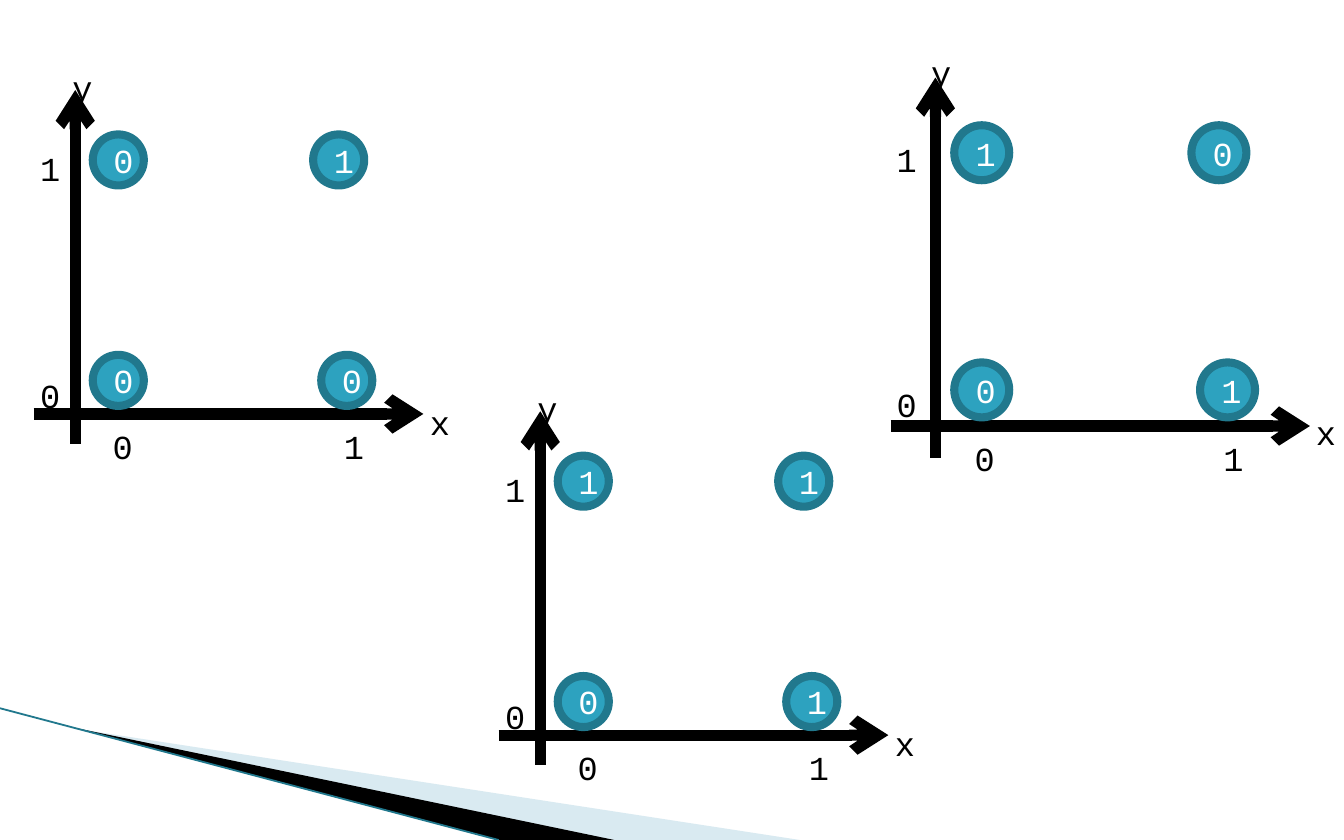
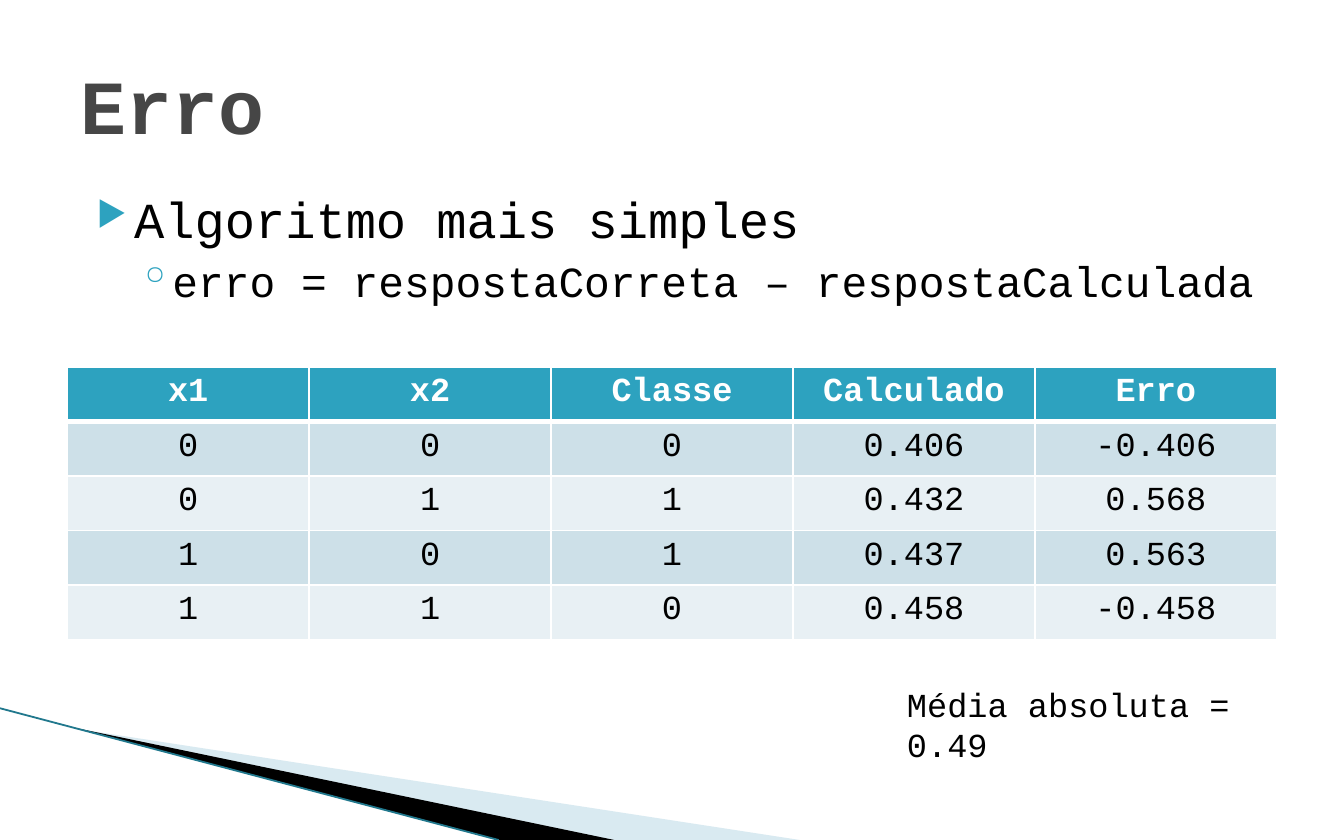
import pptx
import pptx.dml.color
import pptx.enum.shapes
import pptx.enum.text
import pptx.oxml
import pptx.oxml.ns
import pptx.util
from lxml import etree

WIDTH, HEIGHT = 10, 6.25
MARGIN = WIDTH * 0.05
FONT = "Courier New"
COLOURS = {
    "white": "FFFFFF",
    "black": "000000",
    "title": "464646",
    "accent": "2DA2BF",
    "edge": "21788D",
    "band": "A0CBDC",
    "odd_row": "CDE0E8",
    "even_row": "E8F0F4",
}

# Each plot: origin of the axes, scale, classes for (0,1), (0,0), (1,0), (1,1)
PLOTS = [
    ((0.56, 3.08), 1, "0001"),
    ((6.96, 3.17), 1.076, "1010"),
    ((4.02, 5.47), 1, "1011"),
]
AXES = [((-0.31, 0), (2.59, 0)), ((0, 0.22), (0, -2.41))]
POINTS = [(0.32, -1.89), (0.32, -0.25), (2.02, -0.25), (1.96, -1.89)]
POINT_SIZE = 0.38
LABELS = [
    ("1", -0.36, -2.03),
    ("1", 1.9, 0.04),
    ("0", -0.36, -0.34),
    ("0", 0.18, 0.04),
    ("x", 2.54, -0.14),
    ("y", -0.12, -2.63),
]
ERROR_ROWS = [
    ("x1", "x2", "Classe", "Calculado", "Erro"),
    ("0", "0", "0", "0.406", "-0.406"),
    ("0", "1", "1", "0.432", "0.568"),
    ("1", "0", "1", "0.437", "0.563"),
    ("1", "1", "0", "0.458", "-0.458"),
]


def inches(*lengths):
    """Convert lengths to EMU."""
    return [pptx.util.Inches(length) for length in lengths]


def rgb(name):
    """Look up a named colour."""
    return pptx.dml.color.RGBColor.from_string(COLOURS[name])


def add_xml(parent, tag, **attributes):
    """Append a DrawingML element to a parent."""
    return etree.SubElement(parent, pptx.oxml.ns.qn(tag), attributes)


def write(para, text, size=18, colour="black", bold=False, centred=False):
    """Add one formatted run to a paragraph."""
    span = para.add_run()
    span.text = text
    span.font.name = FONT
    span.font.size = pptx.util.Pt(size)
    span.font.bold = bold
    span.font.color.rgb = rgb(colour)
    align = pptx.enum.text.PP_ALIGN
    para.alignment = align.CENTER if centred else align.LEFT


def add_line(shapes, start, end, colour, width, arrow=False):
    """Draw a straight line, with an arrowhead if wanted."""
    line = shapes.add_connector(
        pptx.enum.shapes.MSO_CONNECTOR.STRAIGHT, *inches(*start, *end))
    line.line.color.rgb = rgb(colour)
    line.line.width = pptx.util.Pt(width)
    add_xml(line._element.spPr, "a:effectLst")
    if arrow:
        add_xml(line.line._get_or_add_ln(), "a:tailEnd", type="arrow")
    return line


def add_wedge(shapes, corners, colour, opacity=100):
    """Draw a filled polygon without an outline."""
    builder = shapes.build_freeform(
        *inches(*corners[0]), scale=1)
    builder.add_line_segments([inches(*corner) for corner in corners[1:]])
    wedge = builder.convert_to_shape()
    wedge.shadow.inherit = False
    wedge.fill.solid()
    wedge.fill.fore_color.rgb = rgb(colour)
    wedge.line.fill.background()
    if opacity < 100:
        tint = wedge._element.spPr.find(".//" + pptx.oxml.ns.qn("a:srgbClr"))
        add_xml(tint, "a:alpha", val=str(opacity * 1000))
    return wedge


def decorate_master(deck, page):
    """Draw the corner bands and move them to the slide master."""
    bands = [
        add_wedge(page.shapes, [(0.55, 5.42), (5.95, HEIGHT), (4.56, HEIGHT)], "band", 40),
        add_wedge(page.shapes, [(0.53, 5.41), (4.57, HEIGHT), (3.72, HEIGHT)], "black"),
        add_line(page.shapes, (0, 5.27), (3.71, HEIGHT), "edge", 0.95),
    ]
    for band in bands:
        deck.slide_master.shapes._spTree.append(band._element)


def add_text(shapes, text, left, top, width, wrap):
    """Add a one-paragraph text box."""
    box = shapes.add_textbox(*inches(left, top, width, 0.4))
    box.text_frame.word_wrap = wrap
    write(box.text_frame.paragraphs[0], text)


def add_point(shapes, text, centre, size):
    """Draw a class value in a circle."""
    left, top = (middle - size / 2 for middle in centre)
    point = shapes.add_shape(
        pptx.enum.shapes.MSO_SHAPE.OVAL, *inches(left, top, size, size))
    point.shadow.inherit = False
    point.fill.solid()
    point.fill.fore_color.rgb = rgb("accent")
    point.line.color.rgb = rgb("edge")
    point.line.width = pptx.util.Pt(4.33)
    point.text_frame.vertical_anchor = pptx.enum.text.MSO_ANCHOR.MIDDLE
    write(point.text_frame.paragraphs[0], text, colour="white", centred=True)


def add_plot(page, origin, scale, classes):
    """Draw axes, four class points and labels as one group."""
    shapes = page.shapes.add_group_shape().shapes

    def place(x, y):
        """Turn plot coordinates into slide coordinates."""
        return origin[0] + x * scale, origin[1] + y * scale

    for start, end in AXES:
        add_line(shapes, place(*start), place(*end), "black", 6, arrow=True)
    for value, point in zip(classes, POINTS):
        add_point(shapes, value, place(*point), POINT_SIZE * scale)
    for text, x, y in LABELS:
        add_text(shapes, text, *place(x, y), 0.36, wrap=False)


def set_title(page, text):
    """Place and format the title placeholder."""
    title = page.shapes.title
    title.left, title.top, title.width, title.height = inches(
        MARGIN, 0.25, WIDTH - 2 * MARGIN, 1.04)
    frame = title.text_frame
    frame.auto_size = pptx.enum.text.MSO_AUTO_SIZE.NONE
    frame.vertical_anchor = pptx.enum.text.MSO_ANCHOR.MIDDLE
    write(frame.paragraphs[0], text, 41, "title", bold=True)


def add_bullet(para, text, size, symbol, symbol_size, margin, hanging, before):
    """Write a paragraph with a coloured bullet."""
    write(para, text, size)
    para.space_before = pptx.util.Pt(before)
    props = para._p.get_or_add_pPr()
    props.set("marL", str(pptx.util.Inches(margin)))
    props.set("indent", str(-pptx.util.Inches(hanging)))
    tint = add_xml(props, "a:buClr")
    add_xml(tint, "a:srgbClr", val=COLOURS["accent"])
    add_xml(props, "a:buSzPct", val=str(symbol_size * 1000))
    add_xml(props, "a:buChar", char=symbol)


def add_body(page):
    """Add the two bulleted lines."""
    box = page.shapes.add_textbox(*inches(MARGIN, 1.35, WIDTH - 2 * MARGIN, 1.2))
    frame = box.text_frame
    frame.word_wrap = True
    add_bullet(frame.paragraphs[0], "Algoritmo mais simples",
               27, "▶", 68, 0.4, 0.28, 4)
    add_bullet(frame.add_paragraph(), "erro = respostaCorreta – respostaCalculada",
               23, "◦", 100, 0.68, 0.25, 3.2)


def set_borders(cell, bottom):
    """Give a cell white borders, with its own bottom width."""
    props = cell._tc.get_or_add_tcPr()
    for side, width in (("L", 1), ("R", 1), ("T", 1), ("B", bottom)):
        edge = add_xml(props, "a:ln" + side, w=str(pptx.util.Pt(width)))
        fill = add_xml(edge, "a:solidFill")
        add_xml(fill, "a:srgbClr", val=COLOURS["white"])


def add_table(page, rows):
    """Add the error table with a header and striped rows."""
    table = page.shapes.add_table(
        len(rows), len(rows[0]),
        *inches(MARGIN, 2.73, WIDTH - 2 * MARGIN, 2.03)).table
    for row, values in enumerate(rows):
        header = row == 0
        fill = "accent" if header else "odd_row" if row % 2 else "even_row"
        for column, value in enumerate(values):
            cell = table.cell(row, column)
            set_borders(cell, 3 if header else 1)
            cell.fill.solid()
            cell.fill.fore_color.rgb = rgb(fill)
            write(cell.text_frame.paragraphs[0], value, bold=header, centred=True,
                  colour="white" if header else "black")


def main():
    """Build the deck."""
    deck = pptx.Presentation()
    deck.slide_width, deck.slide_height = inches(WIDTH, HEIGHT)
    title_only, blank = deck.slide_layouts[5], deck.slide_layouts[6]

    page = deck.slides.add_slide(blank)
    decorate_master(deck, page)
    for origin, scale, classes in PLOTS:
        add_plot(page, origin, scale, classes)

    page = deck.slides.add_slide(title_only)
    set_title(page, "Erro")
    add_body(page)
    add_table(page, ERROR_ROWS)
    add_text(page.shapes, "Média absoluta = 0.49", 6.65, 5.04, 2.98, wrap=True)
    deck.save("out.pptx")


if __name__ == "__main__":
    main()
